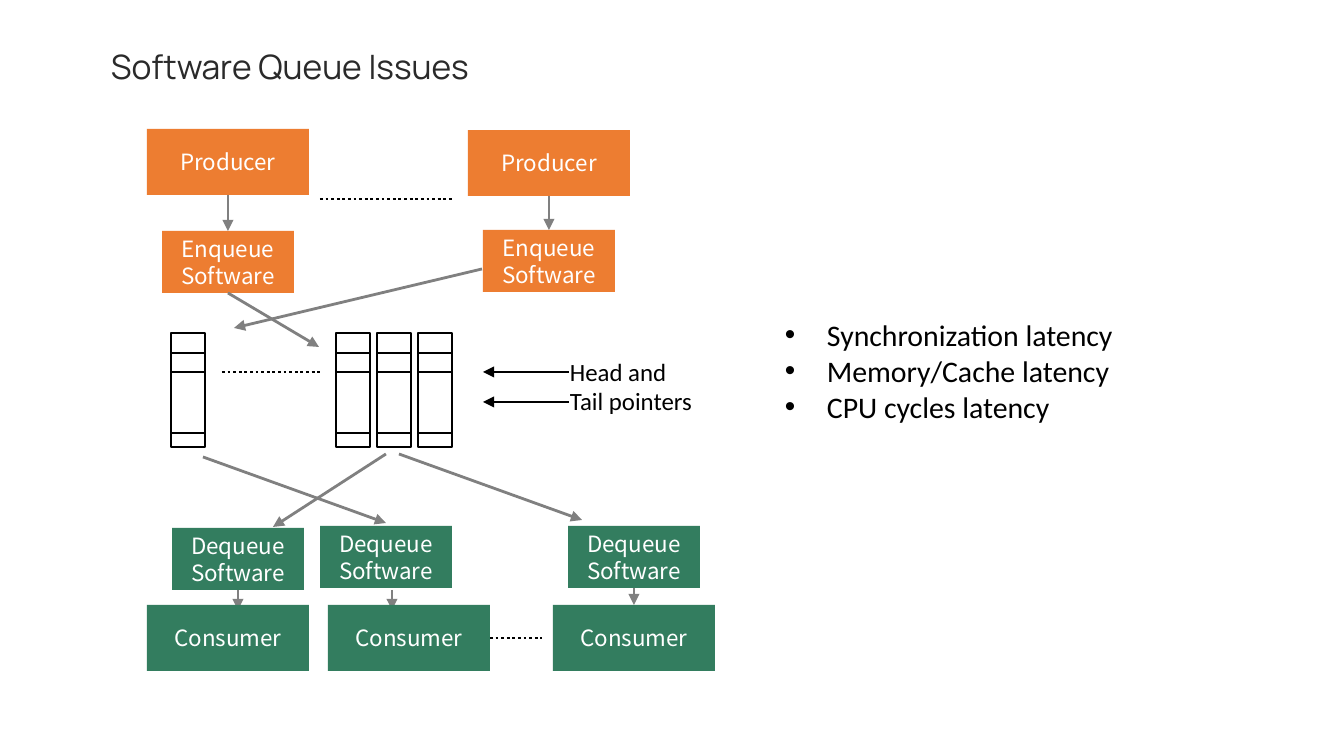
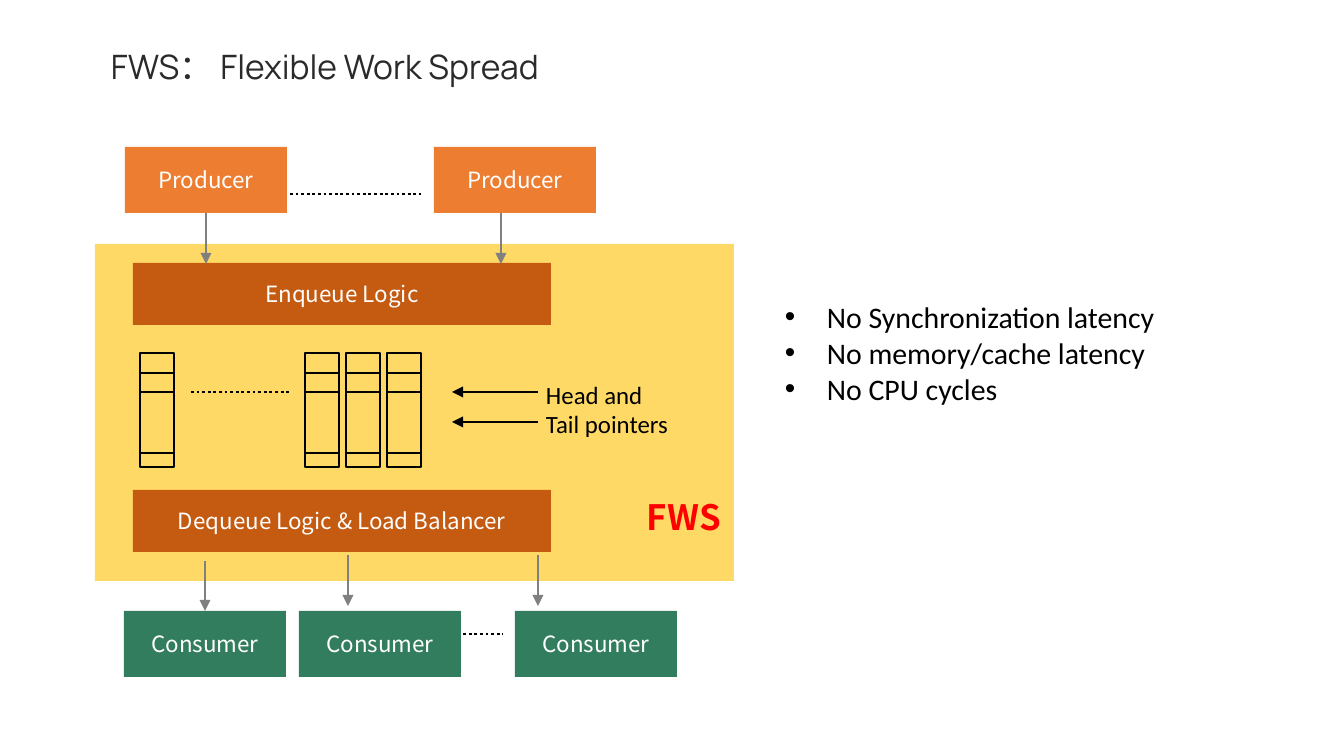
from lxml import etree
from pptx import Presentation
from pptx.dml.color import RGBColor
from pptx.enum.dml import MSO_LINE
from pptx.enum.shapes import MSO_CONNECTOR, MSO_SHAPE
from pptx.enum.text import MSO_ANCHOR, PP_ALIGN
from pptx.oxml.ns import qn
from pptx.util import Emu, Pt

RECT = MSO_SHAPE.RECTANGLE
STRAIGHT = MSO_CONNECTOR.STRAIGHT
DOTTED = MSO_LINE.ROUND_DOT
TOP, MIDDLE, BOTTOM = MSO_ANCHOR.TOP, MSO_ANCHOR.MIDDLE, MSO_ANCHOR.BOTTOM
LEFT, CENTER, RIGHT = PP_ALIGN.LEFT, PP_ALIGN.CENTER, PP_ALIGN.RIGHT
NORTH, SOUTH = 0, 2  # connection sites

WIDE, HIGH = 1344, 756
SCALE = 914400 / 134.4

ORANGE, RUST, GREEN, YELLOW = "ED7D31", "C55A11", "337D5F", "FFD966"
BLACK, WHITE, RED, GRAY, INK = "000000", "FFFFFF", "FF0000", "808080", "2A2A2A"

# font, size, colour, bold
TITLE = ("Manrope", 18, INK, False)
LABEL = ("Noto Sans CJK SC", 12, WHITE, False)
BADGE = ("Noto Sans CJK SC", 18.7, RED, True)
NOTE = ("Calibri", 13.3, BLACK, False)
LIST = ("Calibri", 16, BLACK, False)

# colour, width, dash, arrowhead
FLOW = (GRAY, 1.5, None, True)
DOTS = (BLACK, 1.5, DOTTED, False)
RULE = (BLACK, 0.75, None, False)
POINTER = (BLACK, 0.75, None, True)

# width, height, fill of each kind of box
KINDS = {
    "Producer": (162, 66, ORANGE),
    "Enqueue Software": (132, 62, ORANGE),
    "Dequeue Software": (132, 62, GREEN),
    "Consumer": (162, 66, GREEN),
    "Enqueue Logic": (418, 62, RUST),
    "Dequeue Logic & Load Balancer": (418, 62, RUST),
}

QUEUE = (34, 114)
SLOTS = (0, 165, 206, 247)
RULES = (20, 39, 100)

# Layers are drawn in turn: boxes are (key, text, x, y), flows are (start, end),
# where an end is a point or a box key with a connection site.
SLIDES = [
    {
        "title": "Software Queue Issues",
        "bullets": ["Synchronization latency", "Memory/Cache latency",
                    "CPU cycles latency"],
        "list_top": 316,
        "band": None,
        "queues": (171, 333),
        "note": (570, 341),
        "dots": [(320, 452, 199), (490, 542, 638)],
        "layers": [
            ("boxes", [
                ("P1", "Producer", 147, 129), ("P2", "Producer", 468, 130),
                ("E1", "Enqueue Software", 162, 231),
                ("E2", "Enqueue Software", 483, 230),
                ("D1", "Dequeue Software", 172, 528),
                ("D2", "Dequeue Software", 320, 526),
                ("D3", "Dequeue Software", 568, 526),
            ]),
            ("flows", [
                (("P1", SOUTH), ("E1", NORTH)), (("P2", SOUTH), ("E2", NORTH)),
                (("E1", SOUTH), (319, 347)), ((482, 269), (234, 328)),
                ((399, 454), (582, 520)), ((386, 454), (273, 527)),
                ((203, 457), (386, 523)),
                (("D1", SOUTH), (238, 610)), ((392, 590), (392, 610)),
            ]),
            ("boxes", [
                ("C1", "Consumer", 147, 605), ("C2", "Consumer", 328, 605),
                ("C3", "Consumer", 553, 605),
            ]),
            ("flows", [(("D3", SOUTH), ("C3", NORTH))]),
        ],
    },
    {
        "title": "FWS： Flexible Work Spread",
        "bullets": ["No Synchronization latency", "No memory/cache latency",
                    "No CPU cycles"],
        "list_top": 298,
        "band": ("FWS", (95, 244, 639, 337)),
        "queues": (140, 353),
        "note": (546, 364),
        "dots": [(290, 421, 194), (452, 503, 634)],
        "layers": [
            ("boxes", [
                ("P1", "Producer", 125, 147), ("P2", "Producer", 434, 147),
                ("E", "Enqueue Logic", 133, 263),
                ("D", "Dequeue Logic & Load Balancer", 133, 490),
                ("C1", "Consumer", 124, 611), ("C2", "Consumer", 299, 611),
                ("C3", "Consumer", 515, 611),
            ]),
            ("flows", [
                (("P1", SOUTH), (206, 264)), ((501, 213), (501, 264)),
                ((205, 561), ("C1", NORTH)),
                ((348, 555), (348, 606)), ((538, 555), (538, 606)),
            ]),
        ],
    },
]


def px(n):
    return Emu(round(n * SCALE))


def rgb(code):
    return RGBColor.from_string(code)


def write(shape, lines, style, align=LEFT, anchor=MIDDLE, inset=None):
    """Put one paragraph per line; inset is left, top, right, bottom."""
    font, size, color, bold = style
    frame = shape.text_frame
    frame.word_wrap = True
    frame.vertical_anchor = anchor
    if inset:
        (frame.margin_left, frame.margin_top,
         frame.margin_right, frame.margin_bottom) = map(px, inset)
    for i, line in enumerate(lines):
        para = frame.add_paragraph() if i else frame.paragraphs[0]
        para.alignment = align
        run = para.add_run()
        run.text = line
        run.font.name, run.font.size, run.font.bold = font, Pt(size), bold
        run.font.color.rgb = rgb(color)
    return frame


def add_text(slide, area, lines, style, **look):
    return write(slide.shapes.add_textbox(*map(px, area)), lines, style, **look)


def add_rect(slide, area, fill=None, edge=None):
    shape = slide.shapes.add_shape(RECT, *map(px, area))
    shape.shadow.inherit = False
    if fill:
        shape.fill.solid()
        shape.fill.fore_color.rgb = rgb(fill)
    else:
        shape.fill.background()
    if edge:
        shape.line.color.rgb = rgb(edge)
        shape.line.width = Pt(0.75)
    else:
        shape.line.fill.background()
    return shape


def add_line(slide, start, end, style, boxes=None):
    color, width, dash, head = style
    joins = [isinstance(spot[0], str) for spot in (start, end)]
    a, b = [(0, 0) if join else spot for join, spot in zip(joins, (start, end))]
    line = slide.shapes.add_connector(STRAIGHT, *map(px, a + b))
    if joins[0]:
        line.begin_connect(boxes[start[0]], start[1])
    if joins[1]:
        line.end_connect(boxes[end[0]], end[1])
    line.line.color.rgb = rgb(color)
    line.line.width = Pt(width)
    if dash:
        line.line.dash_style = dash
    props = line.element.spPr
    if head:
        etree.SubElement(props.find(qn("a:ln")), qn("a:tailEnd"), type="triangle")
    etree.SubElement(props, qn("a:effectLst"))


def add_queues(slide, left, top, note):
    wide, high = QUEUE
    for slot in SLOTS:
        x = left + slot
        add_rect(slide, (x, top, wide, high), edge=BLACK)
        for drop in RULES:
            add_line(slide, (x, top + drop), (x + wide, top + drop), RULE)
    add_line(slide, (left + 51, top + 39), (left + 149, top + 39), DOTS)
    for drop in (39, 69):
        add_line(slide, (left + 398, top + drop), (left + 312, top + drop), POINTER)
    add_text(slide, note + (133, 90), ["Head and Tail pointers"], NOTE,
             inset=(0, 0, 0, 0))


def add_list(slide, top, lines):
    frame = add_text(slide, (785, top, 559, 109), lines, LIST, inset=(0, 0, 0, 0))
    for para in frame.paragraphs:
        props = para._p.get_or_add_pPr()
        props.set("marL", str(px(42)))
        props.set("indent", str(-px(42)))
        etree.SubElement(props, qn("a:buFont"), typeface="Arial")
        etree.SubElement(props, qn("a:buChar"), char="•")


def build(slide, data):
    add_text(slide, (104, 39, 810, 54), [data["title"]], TITLE,
             anchor=TOP, inset=(7, 7, 7, 7))
    if data["band"]:
        text, area = data["band"]
        write(add_rect(slide, area, YELLOW), [text], BADGE,
              align=RIGHT, anchor=BOTTOM, inset=(13, 7, 13, 43))
    for x1, x2, y in data["dots"]:
        add_line(slide, (x1, y), (x2, y), DOTS)
    add_queues(slide, *data["queues"], data["note"])
    boxes = {}
    for layer, parts in data["layers"]:
        if layer == "flows":
            for start, end in parts:
                add_line(slide, start, end, FLOW, boxes)
            continue
        for key, text, x, y in parts:
            wide, high, fill = KINDS[text]
            boxes[key] = add_rect(slide, (x, y, wide, high), fill)
            write(boxes[key], [text], LABEL, align=CENTER)
    add_list(slide, data["list_top"], data["bullets"])


def main():
    deck = Presentation()
    deck.slide_width, deck.slide_height = px(WIDE), px(HIGH)
    for data in SLIDES:
        build(deck.slides.add_slide(deck.slide_layouts[6]), data)
    deck.save("out.pptx")


if __name__ == "__main__":
    main()
